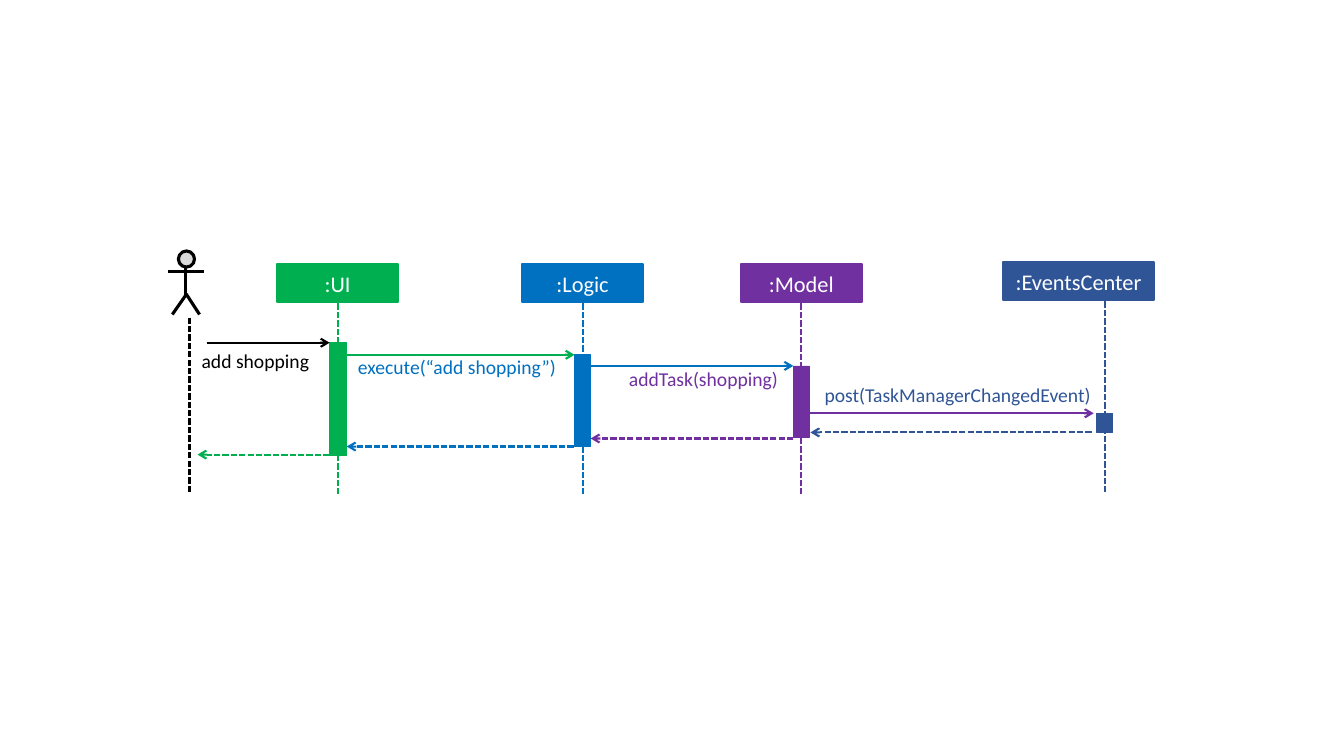
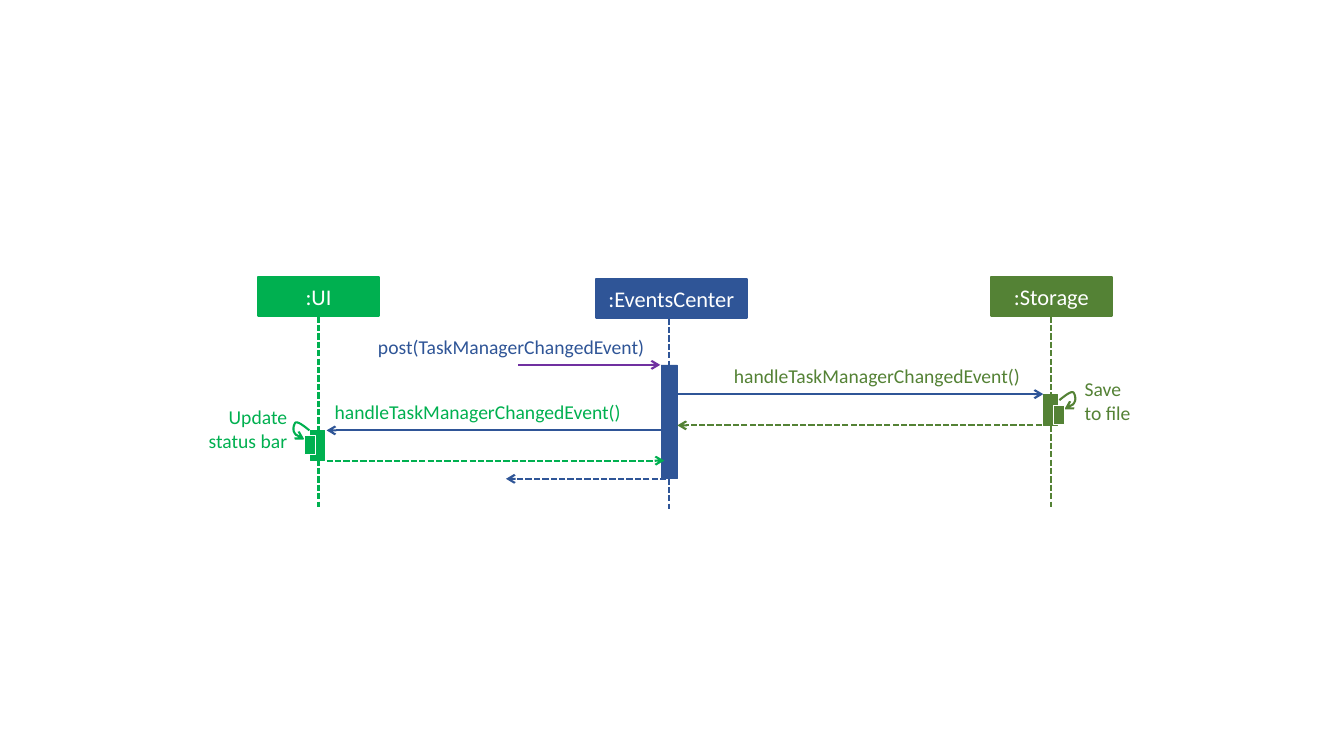
from dataclasses import dataclass

from lxml import etree
from pptx import Presentation
from pptx.dml import color as dml_color
from pptx.enum import dml, shapes, text
from pptx.oxml import ns
from pptx.shapes import shapetree as tree
from pptx.util import Inches, Pt

COLUMNS, ROWS = 133.33, 75
CELL = Inches(0.1)
FONT = "Calibri"
HEAD_HEIGHT = 3.8
LINE_START, LINE_END = 3.9, 22.8
BAR_OFFSET = 0.8
LABEL_ROW = 2.4
COLOURS = {
    "actor": "000000",
    "face": "D9D9D9",
    "ui": "00B050",
    "logic": "0070C0",
    "model": "7030A0",
    "events": "2F5597",
    "storage": "548235",
    "white": "FFFFFF",
}

Point = tuple[float, float]
Box = tuple[float, float, float, float]


@dataclass(frozen=True)
class Lifeline:
    name: str
    colour: str
    column: float
    row: float
    bar_row: float
    bar_height: float
    bar_width: float = 1.6
    head_width: float = 12
    head_shift: float = 0


@dataclass(frozen=True)
class Message:
    colour: str
    start: float
    end: float
    row: float
    reply: bool = False


@dataclass(frozen=True)
class Label:
    lines: tuple[str, ...]
    colour: str
    column: float
    row: float
    width: float
    height: float = LABEL_ROW
    align: text.PP_ALIGN = text.PP_ALIGN.LEFT


@dataclass(frozen=True)
class SelfCall:
    colour: str
    column: float
    row: float
    side: int


@dataclass(frozen=True)
class Diagram:
    lifelines: tuple[Lifeline, ...]
    messages: tuple[Message, ...]
    labels: tuple[Label, ...]
    self_calls: tuple[SelfCall, ...] = ()
    has_actor: bool = False


ADDING = Diagram(
    lifelines=(
        Lifeline(":UI", "ui", 33.5, 26.2, 34, 11.2, 1.7),
        Lifeline(":Logic", "logic", 57.8, 26.2, 35.2, 9.1),
        Lifeline(":Model", "model", 79.5, 26.2, 36.3, 7.1),
        Lifeline(":EventsCenter", "events", 109.6, 26, 41, 1.9,
                 head_width=15, head_shift=-2.6),
    ),
    messages=(
        Message("actor", 20.5, 32.7, 34),
        Message("ui", 34.4, 57, 35.2),
        Message("logic", 58.6, 78.7, 36.3),
        Message("model", 80.4, 108.5, 41),
        Message("events", 108.3, 80.4, 42.9, True),
        Message("model", 78.7, 58.6, 43.5, True),
        Message("logic", 56.9, 34.4, 44.3, True),
        Message("ui", 32.7, 19.6, 45.1, True),
    ),
    labels=(
        Label(("add shopping",), "actor", 20, 34.6, 11.5),
        Label(("execute(“add shopping”)",), "logic", 35.5, 35.2, 20.4),
        Label(("addTask(shopping)",), "model", 62.4, 36.4, 15.6),
        Label(("post(TaskManagerChangedEvent)",), "events", 81.8, 38, 29),
    ),
    has_actor=True,
)

NOTIFYING = Diagram(
    lifelines=(
        Lifeline(":Storage", "storage", 104.3, 27.5, 39.1, 3.1, 1.4),
        Lifeline(":EventsCenter", "events", 66.4, 27.7, 36.2, 11.3,
                 head_width=15, head_shift=0.2),
        Lifeline(":UI", "ui", 31.6, 27.5, 42.7, 3, 1.4),
    ),
    messages=(
        Message("model", 51.4, 65.5, 36.2),
        Message("events", 67.2, 103.5, 39.1),
        Message("storage", 104.2, 67.2, 42.2, True),
        Message("events", 65.9, 32.4, 42.7),
        Message("ui", 32.4, 65.9, 45.7, True),
        Message("events", 66.1, 50.2, 47.5, True),
    ),
    labels=(
        Label(("post(TaskManagerChangedEvent)",), "events", 37.5, 33.2, 29.7),
        Label(("handleTaskManagerChangedEvent()",), "storage", 72.8, 36.1, 29.1),
        Label(("handleTaskManagerChangedEvent()",), "ui", 33.2, 39.7, 29.1),
        Label(("Update status bar",), "ui", 19.8, 40.2, 8.7, 4.7, text.PP_ALIGN.RIGHT),
        Label(("Save", "to file"), "storage", 107.6, 37.4, 5.9, 4.7),
    ),
    self_calls=(
        SelfCall("ui", 30.2, 43.2, -1),
        SelfCall("storage", 105.6, 40.2, 1),
    ),
)

LOOP_CURVES: tuple[tuple[Point, ...], ...] = (
    ((0, 0.4), (0.4, 0.2), (0.9, 0), (1, -0.3)),
    ((1, -0.3), (1.2, -0.6), (1, -1.3), (0.8, -1.3)),
    ((0.8, -1.3), (0.5, -1.3), (0, -0.9), (-0.5, -0.5)),
)


def cells(value: float) -> int:
    return round(value * CELL)


def colour_of(name: str) -> dml_color.RGBColor:
    return dml_color.RGBColor.from_string(COLOURS[name])


def add_arrow(item, end: str) -> None:
    outline = item.element.spPr.find(ns.qn("a:ln"))
    etree.SubElement(outline, ns.qn(f"a:{end}"), type="arrow")


def add_line(area: tree._BaseShapes, start: Point, end: Point, colour: str,
             weight: float = 1.5, dashed: bool = False, arrow: bool = False) -> None:
    line = area.add_connector(shapes.MSO_CONNECTOR.STRAIGHT,
                              *(cells(value) for value in (*start, *end)))
    line.line.color.rgb = colour_of(colour)
    line.line.width = Pt(weight)
    if dashed:
        line.line.dash_style = dml.MSO_LINE.SQUARE_DOT
    if arrow:
        add_arrow(line, "tailEnd")
    etree.SubElement(line.element.spPr, ns.qn("a:effectLst"))


def add_block(area: tree._BaseShapes, box: Box, fill: str, edge: str, weight: float,
              kind: shapes.MSO_SHAPE = shapes.MSO_SHAPE.RECTANGLE):
    block = area.add_shape(kind, *(cells(value) for value in box))
    block.shadow.inherit = False
    block.fill.solid()
    block.fill.fore_color.rgb = colour_of(fill)
    block.line.color.rgb = colour_of(edge)
    block.line.width = Pt(weight)
    return block


def add_outline(area: tree._BaseShapes, points: list[Point], colour: str, weight: float):
    corners = [(cells(x), cells(y)) for x, y in points]
    builder = area.build_freeform(*corners[0])
    builder.add_line_segments(corners[1:], close=False)
    outline = builder.convert_to_shape()
    outline.shadow.inherit = False
    outline.fill.background()
    outline.line.color.rgb = colour_of(colour)
    outline.line.width = Pt(weight)
    return outline


def write(holder, lines: tuple[str, ...], colour: str, size: int,
          align: text.PP_ALIGN) -> None:
    frame = holder.text_frame
    frame.word_wrap = True
    frame.margin_left = frame.margin_right = frame.margin_top = frame.margin_bottom = 0
    for index, words in enumerate(lines):
        paragraph = frame.add_paragraph() if index else frame.paragraphs[0]
        paragraph.alignment = align
        run = paragraph.add_run()
        run.text = words
        run.font.name = FONT
        run.font.size = Pt(size)
        run.font.color.rgb = colour_of(colour)


def draw_lifeline(area: tree._BaseShapes, life: Lifeline) -> None:
    left = life.column + life.head_shift - life.head_width / 2
    head = add_block(area, (left, life.row, life.head_width, HEAD_HEIGHT),
                     life.colour, life.colour, 1.5)
    head.text_frame.vertical_anchor = text.MSO_ANCHOR.MIDDLE
    write(head, (life.name,), "white", 16, text.PP_ALIGN.CENTER)
    add_line(area, (life.column, life.row + LINE_START),
             (life.column, life.row + LINE_END), life.colour, dashed=True)
    add_block(area, (life.column - BAR_OFFSET, life.bar_row, life.bar_width, life.bar_height),
              life.colour, life.colour, 0.5)


def draw_message(area: tree._BaseShapes, message: Message) -> None:
    add_line(area, (message.start, message.row), (message.end, message.row),
             message.colour, dashed=message.reply, arrow=True)


def draw_label(area: tree._BaseShapes, label: Label) -> None:
    box = (label.column, label.row, label.width, label.height)
    holder = area.add_textbox(*(cells(value) for value in box))
    write(holder, label.lines, label.colour, 14, label.align)


def curve_point(controls: tuple[Point, ...], t: float) -> Point:
    weights = ((1 - t) ** 3, 3 * t * (1 - t) ** 2, 3 * t ** 2 * (1 - t), t ** 3)
    return (sum(w * x for w, (x, _) in zip(weights, controls)),
            sum(w * y for w, (_, y) in zip(weights, controls)))


def draw_self_call(area: tree._BaseShapes, call: SelfCall, steps: int = 8) -> None:
    group = area.add_group_shape().shapes
    offsets = [LOOP_CURVES[0][0]]
    offsets += [curve_point(controls, step / steps)
                for controls in LOOP_CURVES for step in range(1, steps + 1)]
    points = [(call.column + call.side * x, call.row + y) for x, y in offsets]
    add_arrow(add_outline(group, points, call.colour, 1.5), "headEnd")
    left = call.column if call.side < 0 else call.column - 1.1
    add_block(group, (left, call.row, 1.1, 1.9), call.colour, "white", 0.5)


def draw_actor(area: tree._BaseShapes) -> None:
    add_line(area, (18.8, 31.5), (18.8, 49), "actor", dashed=True)
    figure = area.add_group_shape().shapes
    add_block(figure, (17.7, 24.9, 1.6, 1.6), "face", "actor", 2.25,
              shapes.MSO_SHAPE.FLOWCHART_CONNECTOR)
    add_line(figure, (18.4, 26.5), (18.4, 29.3), "actor", 2.25)
    add_outline(figure, [(17.1, 31.2), (18.5, 29.2), (19.8, 31.2)], "actor", 2.25)
    add_line(figure, (16.7, 26.9), (20.2, 26.9), "actor", 2.25)


def draw_diagram(area: tree._BaseShapes, diagram: Diagram) -> None:
    for life in diagram.lifelines:
        draw_lifeline(area, life)
    for message in diagram.messages:
        draw_message(area, message)
    for label in diagram.labels:
        draw_label(area, label)
    for call in diagram.self_calls:
        draw_self_call(area, call)
    if diagram.has_actor:
        draw_actor(area)


def main() -> None:
    deck = Presentation()
    deck.slide_width, deck.slide_height = cells(COLUMNS), cells(ROWS)
    blank = deck.slide_layouts[6]
    for diagram in (ADDING, NOTIFYING):
        draw_diagram(deck.slides.add_slide(blank).shapes, diagram)
    deck.save("out.pptx")


if __name__ == "__main__":
    main()
